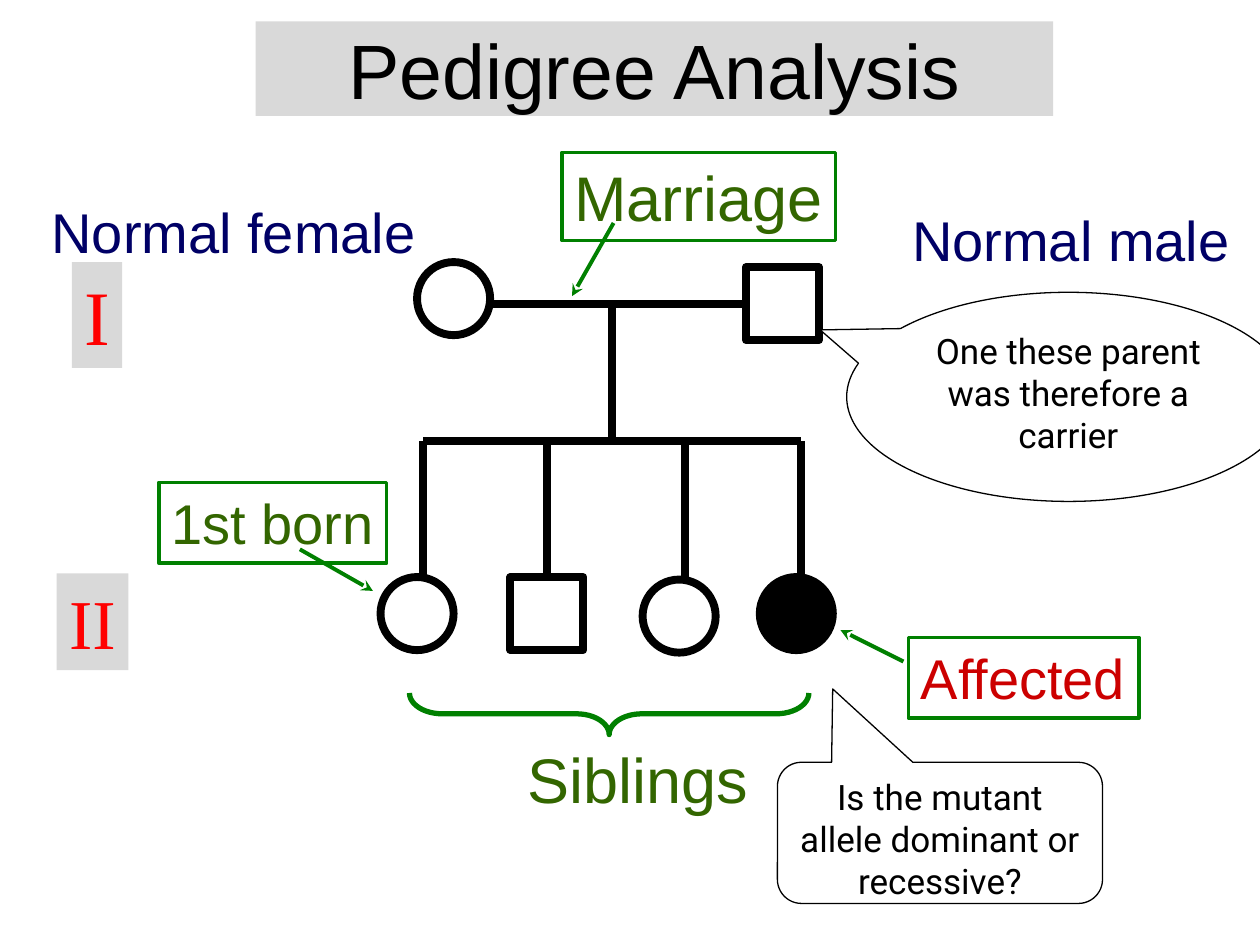
from lxml import etree
from pptx import Presentation
from pptx.dml.color import RGBColor
from pptx.enum.shapes import MSO_CONNECTOR, MSO_SHAPE
from pptx.enum.text import MSO_ANCHOR, PP_ALIGN
from pptx.oxml.ns import qn
from pptx.util import Inches, Pt

STRAIGHT = MSO_CONNECTOR.STRAIGHT
RECTANGLE = MSO_SHAPE.RECTANGLE
OVAL = MSO_SHAPE.OVAL
BRACE = MSO_SHAPE.LEFT_BRACE
OVAL_CALLOUT = MSO_SHAPE.OVAL_CALLOUT
ROUNDED_CALLOUT = MSO_SHAPE.ROUNDED_RECTANGULAR_CALLOUT
LEFT = PP_ALIGN.LEFT
CENTER = PP_ALIGN.CENTER
TOP = MSO_ANCHOR.TOP
MIDDLE = MSO_ANCHOR.MIDDLE

GRID_COLUMNS, GRID_ROWS = 100, 75
CELL = Inches(0.1)
BLACK, WHITE, GRAY = "000000", "FFFFFF", "D9D9D9"
NAVY, GREEN, MOSS = "000066", "008000", "336600"
RED, CRIMSON = "FF0000", "CC0000"
PERSON_SIZE = 5.8
PEDIGREE_WIDTH = 4.5
MARRIAGE_ROW, SIBLING_ROW, CHILD_ROW = 24.1, 35, 45.8


def cells(*counts):
    return [round(count * CELL) for count in counts]


def color(hex_text):
    return RGBColor.from_string(hex_text)


def add_shape(slide, kind, place, fill=None, line=None, width=1, adjustments=()):
    shape = slide.shapes.add_shape(kind, *cells(*place))
    shape.shadow.inherit = False
    if fill:
        shape.fill.solid()
        shape.fill.fore_color.rgb = color(fill)
    else:
        shape.fill.background()
    if line:
        shape.line.color.rgb = color(line)
        shape.line.width = Pt(width)
    else:
        shape.line.fill.background()
    for index, value in enumerate(adjustments):
        shape.adjustments[index] = value
    return shape


def write(shape, text, size=32, font="Arial", ink=BLACK, align=LEFT, anchor=TOP, wrap=False):
    frame = shape.text_frame
    frame.word_wrap = wrap
    frame.vertical_anchor = anchor
    paragraph = frame.paragraphs[0]
    paragraph.alignment = align
    run = paragraph.add_run()
    run.text = text
    run.font.size = Pt(size)
    run.font.name = font
    run.font.color.rgb = color(ink)


def add_label(slide, text, place, **text_format):
    write(slide.shapes.add_textbox(*cells(*place)), text, **text_format)


def add_framed_label(slide, text, place, **text_format):
    write(add_shape(slide, RECTANGLE, place, line=GREEN, width=2), text, **text_format)


def add_generation(slide, text, place, size):
    panel = add_shape(slide, RECTANGLE, place, fill=GRAY)
    write(panel, text, size=size, font="Times New Roman", ink=RED)


def add_callout(slide, kind, text, place, adjustments):
    callout = add_shape(slide, kind, place, WHITE, BLACK, 0.75, adjustments)
    write(callout, text, size=20, font="Roboto", align=CENTER, wrap=True)


def add_person(slide, kind, left, top, fill=WHITE):
    place = (left, top, PERSON_SIZE, PERSON_SIZE)
    return add_shape(slide, kind, place, fill, BLACK, PEDIGREE_WIDTH)


def add_line(slide, start, end, ink=BLACK, width=PEDIGREE_WIDTH):
    connector = slide.shapes.add_connector(STRAIGHT, *cells(*start, *end))
    connector.line.color.rgb = color(ink)
    connector.line.width = Pt(width)
    etree.SubElement(connector._element.spPr, qn("a:effectLst"))
    return connector


def add_arrow(slide, start, end):
    connector = add_line(slide, start, end, GREEN, 2.25)
    etree.SubElement(connector.line._get_or_add_ln(), qn("a:tailEnd"), type="stealth")


def add_parents(slide):
    add_person(slide, OVAL, 33.1, 20.8)
    father = add_person(slide, RECTANGLE, 59.2, 21.2)
    marriage = add_line(slide, (38.9, MARRIAGE_ROW), (59.2, MARRIAGE_ROW))
    marriage.end_connect(father, 1)
    add_line(slide, (48.6, MARRIAGE_ROW), (48.6, SIBLING_ROW))


def add_children(slide):
    add_line(slide, (33.6, SIBLING_ROW), (63.6, SIBLING_ROW))
    children = [
        (OVAL, 30.2, CHILD_ROW, WHITE, 33.6),
        (RECTANGLE, 40.5, CHILD_ROW, WHITE, 43.4),
        (OVAL, 51, 46, WHITE, 54.4),
        (OVAL, 60.3, CHILD_ROW, BLACK, 63.6),
    ]
    for kind, left, top, fill, branch in children:
        line = add_line(slide, (branch, SIBLING_ROW), (branch, CHILD_ROW))
        person = add_person(slide, kind, left, top, fill)
        if kind == RECTANGLE:
            line.end_connect(person, 0)


def add_annotations(slide):
    add_label(slide, "Normal female", (3.1, 15.2, 32.8, 6.4), ink=NAVY)
    add_label(slide, "Normal male", (71.4, 15.8, 30.2, 6.4), ink=NAVY)
    add_framed_label(slide, "Marriage", (44.6, 12.1, 21.7, 7), size=36, ink=MOSS)
    add_framed_label(slide, "1st born", (12.6, 38.3, 18.1, 6.4), ink=MOSS)
    add_framed_label(slide, "Affected", (72.1, 50.6, 18.3, 6.4), ink=CRIMSON)
    add_arrow(slide, (48.7, 17.7), (45.4, 23.5))
    add_arrow(slide, (23.8, 43.6), (29.6, 46.9))
    add_arrow(slide, (71.7, 52.5), (66.7, 50))
    brace = add_shape(slide, BRACE, (46.7, 40.8, 3.3, 31.7), None, GREEN, 3, (0.79, 0.5))
    brace.rotation = 270
    add_label(slide, "Siblings", (40.9, 58.3, 19.5, 7), size=36, ink=MOSS)


def main():
    presentation = Presentation()
    presentation.slide_width = GRID_COLUMNS * CELL
    presentation.slide_height = GRID_ROWS * CELL
    slide = presentation.slides.add_slide(presentation.slide_layouts[6])

    title = add_shape(slide, RECTANGLE, (20.3, 1.7, 63.3, 7.5), fill=GRAY)
    write(title, "Pedigree Analysis", size=44, align=CENTER, anchor=MIDDLE, wrap=True)
    add_parents(slide)
    add_children(slide)
    add_annotations(slide)
    add_generation(slide, "I", (5.7, 20.8, 4, 8.4), 44)
    add_generation(slide, "II", (4.5, 45.5, 5.7, 7.7), 40)
    add_callout(slide, OVAL_CALLOUT, "One these parent was therefore a carrier",
                (67.2, 23.2, 35.2, 16.6), (-0.56, -0.32))
    add_callout(slide, ROUNDED_CALLOUT, "Is the mutant allele dominant or recessive?",
                (61.7, 60.5, 25.8, 11.2), (-0.33, -1.02, 0.17))
    presentation.save("out.pptx")


if __name__ == "__main__":
    main()
